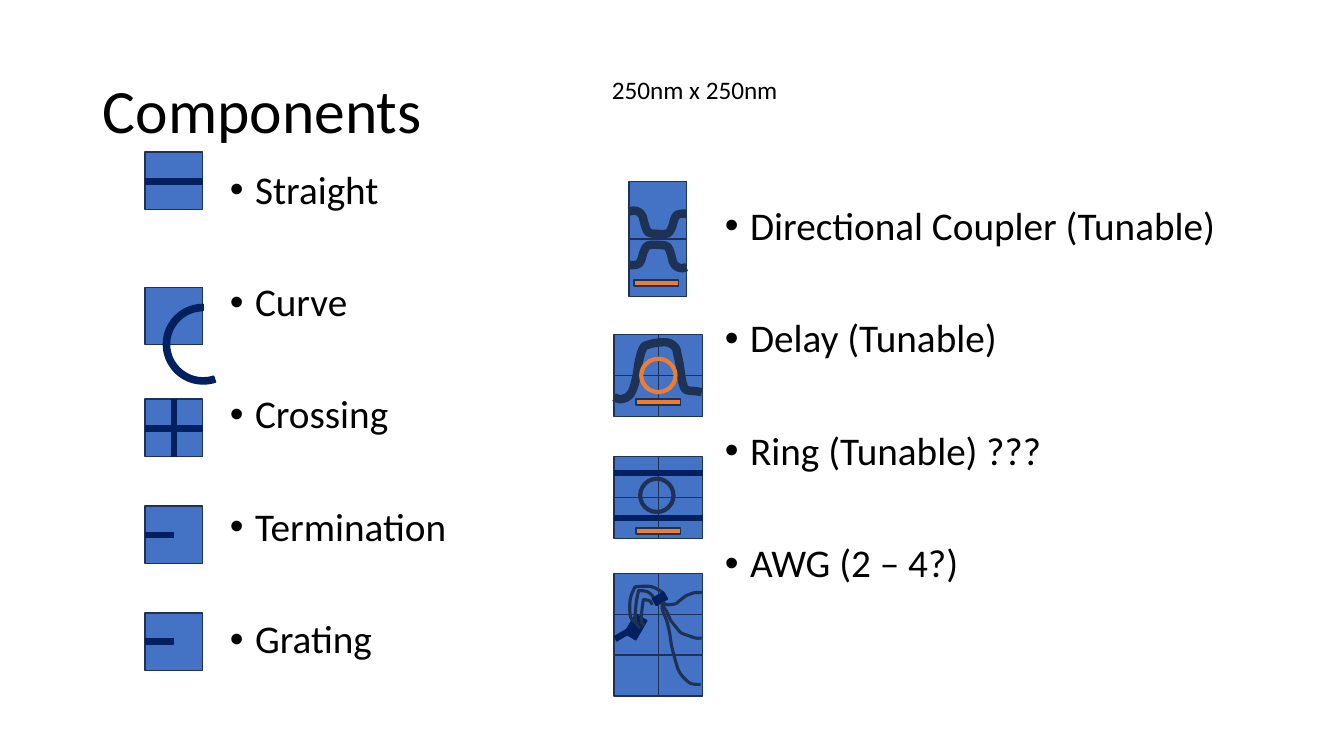
import pptx
import pptx.util
import pptx.dml.color
import pptx.enum.shapes
import pptx.enum.text
import pptx.oxml.xmlchemy
import lxml.etree

Inches = pptx.util.Inches
Pt = pptx.util.Pt
RGBColor = pptx.dml.color.RGBColor
KIND = pptx.enum.shapes.MSO_SHAPE
TEXT = pptx.enum.text

BLUE = RGBColor(0x44, 0x72, 0xC4)
EDGE = RGBColor(0x1E, 0x32, 0x56)
NAVY = RGBColor(0x00, 0x20, 0x60)
ORANGE = RGBColor(0xED, 0x7D, 0x31)
BLACK = RGBColor(0, 0, 0)

FONT = "Calibri"
DRAWML = "http://schemas.openxmlformats.org/drawingml/2006/main"
SIDE = 0.57
CELL_W, CELL_H = 0.44, 0.405
LEFT, GRID = 1.44, 6.09

COUPLER = [(6.24, 2.1), (6.28, 2.09), (6.33, 2.1), (6.37, 2.14),
           (6.39, 2.21), (6.41, 2.27), (6.44, 2.31), (6.52, 2.32),
           (6.6, 2.32), (6.64, 2.3), (6.67, 2.24), (6.69, 2.17),
           (6.72, 2.13), (6.77, 2.12), (6.81, 2.12)]
DELAY = [(6.09, 3.94), (6.15, 3.96), (6.22, 3.94), (6.27, 3.88),
         (6.31, 3.75), (6.34, 3.57), (6.38, 3.45), (6.43, 3.42),
         (6.52, 3.4), (6.63, 3.4), (6.7, 3.45), (6.72, 3.52),
         (6.74, 3.61), (6.76, 3.75), (6.78, 3.83), (6.81, 3.87),
         (6.89, 3.88), (6.96, 3.89)]
ARMS = [
    [(6.33, 6.19), (6.28, 6.16), (6.25, 6.1), (6.25, 5.95), (6.29, 5.84),
     (6.32, 5.82), (6.46, 5.82), (6.56, 5.87), (6.57, 5.89)],
    [(6.35, 6.23), (6.32, 6.2), (6.3, 6.14), (6.31, 5.98), (6.33, 5.88),
     (6.34, 5.86), (6.42, 5.87), (6.47, 5.91), (6.48, 5.93)],
    [(6.39, 6.21), (6.37, 6.18), (6.36, 6.14), (6.37, 6.03), (6.38, 5.96),
     (6.39, 5.95), (6.44, 5.96), (6.46, 5.98), (6.47, 6)],
]
PORTS = [
    [(6.57, 5.97), (6.59, 5.99), (6.63, 6), (6.7, 5.99), (6.74, 5.96),
     (6.79, 5.92), (6.83, 5.9), (6.89, 5.88), (6.96, 5.88)],
    [(6.56, 5.98), (6.59, 6.03), (6.62, 6.08), (6.65, 6.15), (6.68, 6.19),
     (6.72, 6.24), (6.76, 6.28), (6.84, 6.31), (6.9, 6.33), (6.96, 6.33)],
    [(6.57, 5.99), (6.57, 6.05), (6.61, 6.15), (6.64, 6.27), (6.66, 6.4),
     (6.69, 6.52), (6.71, 6.59), (6.73, 6.65), (6.77, 6.71), (6.85, 6.78),
     (6.95, 6.79)],
]


def add_shape(group, kind, x, y, w, h, fill=BLUE, edge=EDGE, width=1, turn=0):
    shape = group.shapes.add_shape(kind, Inches(x), Inches(y), Inches(w), Inches(h))
    style(shape, fill, edge, width)
    shape.rotation = turn
    return shape


def style(shape, fill, edge, width):
    shape.shadow.inherit = False
    if fill is None:
        shape.fill.background()
    else:
        shape.fill.solid()
        shape.fill.fore_color.rgb = fill
    shape.line.color.rgb = edge
    shape.line.width = Pt(width)


def add_guide(group, x1, y1, x2, y2):
    """Draw a straight waveguide."""
    guide = group.shapes.add_connector(
        pptx.enum.shapes.MSO_CONNECTOR.STRAIGHT,
        Inches(x1), Inches(y1), Inches(x2), Inches(y2))
    guide.line.color.rgb = NAVY
    guide.line.width = Pt(4.5)
    lxml.etree.SubElement(guide._element.spPr, f"{{{DRAWML}}}effectLst")


def smooth(points, steps=4):
    """Sample a Catmull-Rom spline through the points."""
    ends = [points[0], *points, points[-1]]
    track = [points[0]]
    for a, b, c, d in zip(ends, ends[1:], ends[2:], ends[3:]):
        for step in range(1, steps + 1):
            t = step / steps
            track.append(tuple(
                q + t / 2 * (r - p + t * (2 * p - 5 * q + 4 * r - s
                                          + t * (3 * (q - r) + s - p)))
                for p, q, r, s in zip(a, b, c, d)))
    return track


def add_bend(group, points, width):
    """Draw a curved waveguide."""
    track = [(Inches(x), Inches(y)) for x, y in smooth(points)]
    form = group.shapes.build_freeform(*track[0])
    form.add_line_segments(track[1:], close=False)
    style(form.convert_to_shape(), None, EDGE, width)


def add_grid(slide, x, y, cols, rows, w, h):
    """Start a component with a grid of tiles."""
    group = slide.shapes.add_group_shape()
    for row in range(rows):
        for col in range(cols):
            add_shape(group, KIND.RECTANGLE, x + col * w, y + row * h, w, h)
    return group


def add_tile(slide, y):
    return add_grid(slide, LEFT, y, 1, 1, SIDE, SIDE)


def add_heater(group, x, y):
    add_shape(group, KIND.RECTANGLE, x, y, 0.44, 0.06, ORANGE)


def add_run(para, text, size):
    run = para.add_run()
    run.text = text
    run.font.name = FONT
    run.font.size = Pt(size)
    run.font.color.rgb = BLACK
    para.alignment = TEXT.PP_ALIGN.LEFT


def place(shape, x, y, w, h):
    shape.left, shape.top = Inches(x), Inches(y)
    shape.width, shape.height = Inches(w), Inches(h)
    frame = shape.text_frame
    frame.auto_size = TEXT.MSO_AUTO_SIZE.NONE
    frame.word_wrap = True
    return frame


def fill_list(frame, items):
    frame.vertical_anchor = TEXT.MSO_ANCHOR.TOP
    for index, item in enumerate(items):
        para = frame.add_paragraph() if index else frame.paragraphs[0]
        add_run(para, item, 28)
        para.line_spacing = 0.9
        para.space_before = Pt(50 if index else 10)
        props = para._p.get_or_add_pPr()
        props.set("marL", str(Inches(0.25)))
        props.set("indent", str(-Inches(0.25)))
        lxml.etree.SubElement(props, f"{{{DRAWML}}}buFont", typeface="Arial")
        lxml.etree.SubElement(props, f"{{{DRAWML}}}buChar", char="•")


def draw_basic(slide):
    """Draw the five single-tile components."""
    mid, right, half = LEFT + SIDE / 2, LEFT + SIDE, SIDE / 2
    add_guide(add_tile(slide, 1.51), LEFT, 1.8, right, 1.8)
    curve = add_tile(slide, 2.85)
    arc = add_shape(curve, KIND.BLOCK_ARC, 1.62, 3.02, 0.79, 0.79, NAVY, NAVY, 1, 270)
    for index, value in enumerate((97.08, 0, 0.078)):
        arc.adjustments[index] = value
    cross = add_tile(slide, 3.96)
    add_guide(cross, LEFT, 4.25, right, 4.25)
    add_guide(cross, mid, 3.96, mid, 4.53)
    for top in (5.02, 6.08):
        add_guide(add_tile(slide, top), LEFT, top + half, mid, top + half)


def draw_tuned(slide):
    """Draw the coupler, the delay and the ring."""
    pair = add_grid(slide, 6.24, 1.8, 1, 2, SIDE, SIDE)
    add_bend(pair, COUPLER, 6)
    add_bend(pair, [(13.05 - x, 4.75 - y) for x, y in COUPLER], 6)
    add_heater(pair, 6.29, 2.78)

    delay = add_grid(slide, GRID, 3.32, 2, 2, CELL_W, CELL_H)
    add_bend(delay, DELAY, 6)
    add_heater(delay, 6.31, 3.96)
    add_shape(delay, KIND.OVAL, 6.36, 3.56, 0.34, 0.33, None, ORANGE, 3)

    ring = add_grid(slide, GRID, 4.53, 2, 2, CELL_W, CELL_H)
    add_heater(ring, 6.31, 5.24)
    add_shape(ring, KIND.OVAL, 6.35, 4.75, 0.33, 0.33, None, EDGE, 3)
    for y in (4.69, 5.14):
        add_guide(ring, GRID, y, GRID + 2 * CELL_W, y)


def draw_awg(slide):
    awg = add_grid(slide, GRID, 5.69, 2, 3, CELL_W, CELL_H)
    add_guide(awg, 6.1, 6.34, 6.27, 6.24)
    add_shape(awg, KIND.RECTANGLE, 6.24, 6.11, 0.13, 0.22, NAVY, NAVY, 1, 30)
    for arm in ARMS:
        add_bend(awg, arm, 2.25)
    add_shape(awg, KIND.RECTANGLE, 6.48, 5.9, 0.13, 0.08, NAVY, NAVY, 1, 330)
    for port in PORTS:
        add_bend(awg, port, 2.25)


def main():
    deck = pptx.Presentation()
    deck.slide_width, deck.slide_height = Inches(13.33), Inches(7.5)
    slide = deck.slides.add_slide(deck.slide_layouts[3])
    title, basic, tuned = slide.placeholders

    frame = place(title, 0.92, 0.4, 11.5, 1.45)
    frame.vertical_anchor = TEXT.MSO_ANCHOR.MIDDLE
    frame.paragraphs[0].line_spacing = 0.9
    add_run(frame.paragraphs[0], "Components", 44)
    fill_list(place(basic, 2.18, 1.64, 2.96, 5.62),
              ["Straight", "Curve", "Crossing", "Termination", "Grating"])
    fill_list(place(tuned, 7.09, 2, 5.17, 4.76),
              ["Directional Coupler (Tunable)", "Delay (Tunable)",
               "Ring (Tunable) ???", "AWG (2 – 4?)"])
    draw_basic(slide)
    draw_tuned(slide)
    draw_awg(slide)
    note = slide.shapes.add_textbox(0, 0, 0, 0)
    frame = place(note, 5.97, 0.69, 3.71, 0.4)
    add_run(frame.paragraphs[0], "250nm x 250nm", 18)
    deck.save("out.pptx")


if __name__ == "__main__":
    main()
